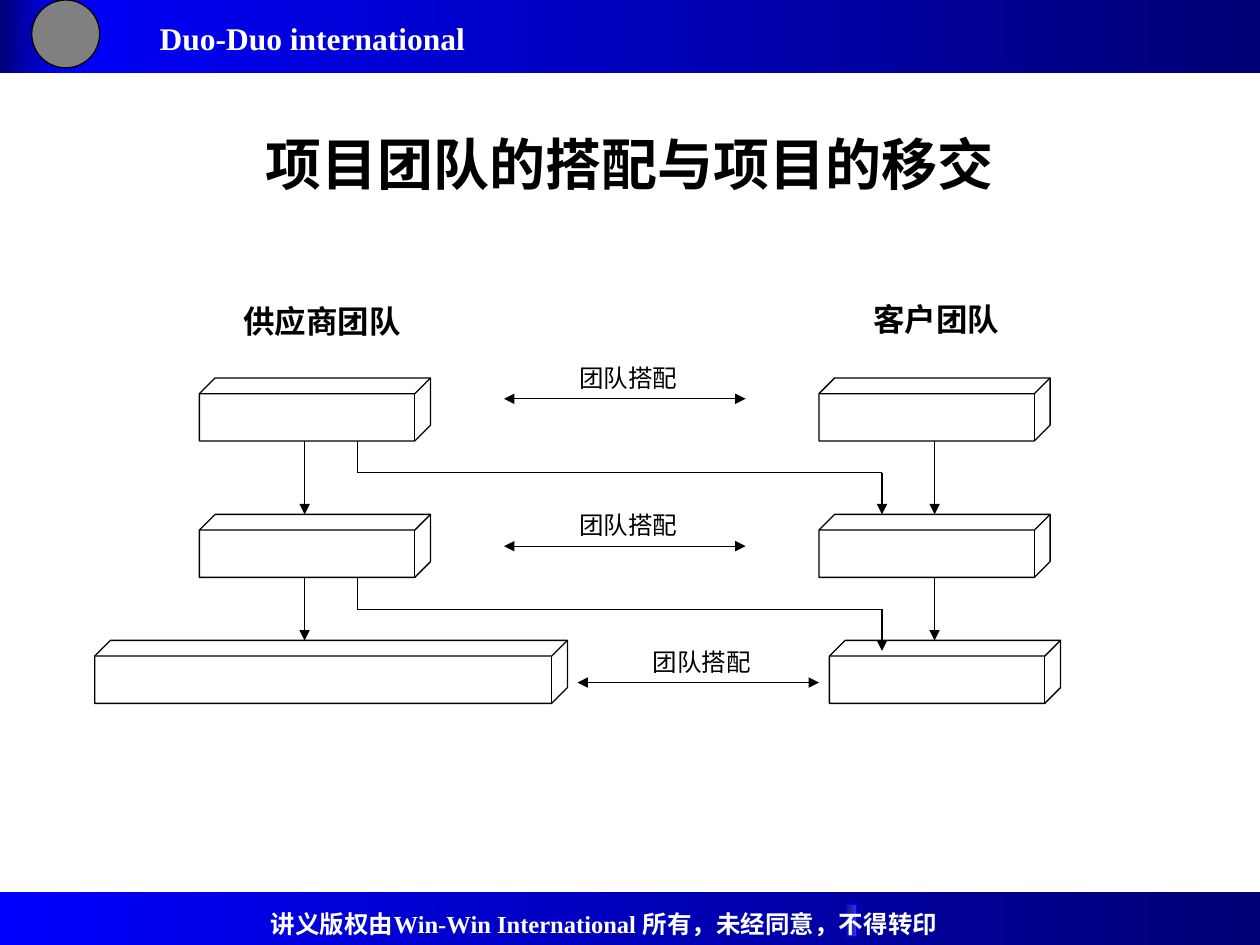
from dataclasses import dataclass

from lxml import etree
from pptx import Presentation
from pptx.dml.color import RGBColor
from pptx.enum import shapes, text
from pptx.oxml import ns
from pptx.util import Cm, Pt


@dataclass(frozen=True)
class Theme:
    font: str = "Times New Roman"
    black: RGBColor = RGBColor(0, 0, 0)
    white: RGBColor = RGBColor(255, 255, 255)
    grey: RGBColor = RGBColor(128, 128, 128)
    bright: RGBColor = RGBColor(0, 0, 255)
    navy: RGBColor = RGBColor(0, 0, 0x75)
    violet: RGBColor = RGBColor(0x33, 0x33, 255)
    dusk: RGBColor = RGBColor(0x17, 0x17, 0x75)
    title: int = 32
    heading: int = 18
    label: int = 14
    line: float = 0.75


theme = Theme()
prs = Presentation()
prs.slide_width, prs.slide_height = Cm(25.4), Cm(19.05)
slide = prs.slides.add_slide(prs.slide_layouts[6])


def add_text(words, left, top, width, height, size=theme.label, bold=False,
             color=theme.black, align=text.PP_ALIGN.LEFT,
             anchor=text.MSO_ANCHOR.TOP, wrap=True):
    frame = slide.shapes.add_textbox(Cm(left), Cm(top), Cm(width), Cm(height)).text_frame
    frame.word_wrap = wrap
    frame.vertical_anchor = anchor
    paragraph = frame.paragraphs[0]
    paragraph.alignment = align
    run = paragraph.add_run()
    run.text = words
    run.font.name = theme.font
    run.font.size = Pt(size)
    run.font.bold = bold
    run.font.color.rgb = color


def add_line(x1, y1, x2, y2, arrows=()):
    """Draw a line; arrows lists its pointed ends, headEnd (start) before tailEnd."""
    line = slide.shapes.add_connector(
        shapes.MSO_CONNECTOR.STRAIGHT, Cm(x1), Cm(y1), Cm(x2), Cm(y2))
    line.line.color.rgb = theme.black
    line.line.width = Pt(theme.line)
    for end in arrows:
        etree.SubElement(line.line._get_or_add_ln(), ns.qn(f"a:{end}"), type="triangle")
    etree.SubElement(line._element.spPr, ns.qn("a:effectLst"))


# Header and footer bands, with colours running from left to right
bands = [
    (0, 0, 25.4, 1.47, theme.bright, theme.navy, None),
    (0, 0, 1.27, 1.47, theme.navy, theme.bright, None),
    (0, 17.98, 25.4, 1.07, theme.bright, theme.navy, None),
    (17.07, 18.24, 0.2, 0.64, theme.dusk, theme.violet, theme.bright),
]
for left, top, width, height, start, finish, outline in bands:
    band = slide.shapes.add_shape(
        shapes.MSO_SHAPE.RECTANGLE, Cm(left), Cm(top), Cm(width), Cm(height))
    band.shadow.inherit = False
    band.fill.gradient()
    band.fill.gradient_angle = 0
    for stop, color in zip(band.fill.gradient_stops, (start, finish)):
        stop.color.rgb = color
    if outline is None:
        band.line.fill.background()
    else:
        band.line.color.rgb = outline
        band.line.width = Pt(theme.line)

emblem = slide.shapes.add_shape(
    shapes.MSO_SHAPE.OVAL, Cm(0.64), Cm(0), Cm(1.37), Cm(1.37))
emblem.shadow.inherit = False
emblem.fill.solid()
emblem.fill.fore_color.rgb = theme.grey
emblem.line.color.rgb = theme.black
emblem.line.width = Pt(theme.line)

add_text("Duo-Duo international", 2.97, 0.25, 6.73, 1.02, size=theme.heading,
         bold=True, color=theme.white, wrap=False)
add_text("讲义版权由Win-Win International 所有，未经同意，不得转印", 5.21, 18.21, 14.2, 0.86,
         bold=True, color=theme.white, wrap=False)
add_text("项目团队的搭配与项目的移交", 1.91, 1.7, 21.59, 3.18, size=theme.title, bold=True,
         align=text.PP_ALIGN.CENTER, anchor=text.MSO_ANCHOR.MIDDLE)
add_text("供应商团队", 4.65, 5.97, 5.08, 1.02, size=theme.heading, bold=True)
add_text("客户团队", 17.35, 5.92, 5.08, 1.02, size=theme.heading, bold=True)

# Three levels of supplier and customer teams
level_tops = [7.62, 10.37, 12.91]
block_height, block_width = 1.27, 4.66
supplier_blocks = [(4.02, block_width), (4.02, block_width), (1.91, 9.53)]
customer_blocks = [(16.51, block_width), (16.51, block_width), (16.72, block_width)]
for blocks in (supplier_blocks, customer_blocks):
    for top, (left, width) in zip(level_tops, blocks):
        block = slide.shapes.add_shape(
            shapes.MSO_SHAPE.CUBE, Cm(left), Cm(top), Cm(width), Cm(block_height))
        block.shadow.inherit = False
        block.fill.background()
        block.line.color.rgb = theme.black
        block.line.width = Pt(theme.line)

# Hand-over down each side, and across from supplier to customer
handover_start, handover_end = 7.2, 17.78
for upper, lower, handover_tip in zip(level_tops, level_tops[1:], (10.37, 13.12)):
    bottom = upper + block_height
    for middle in (6.14, 18.84):
        add_line(middle, bottom, middle, lower, ["tailEnd"])
    bend = bottom + 0.64
    add_line(handover_start, bottom, handover_start, bend)
    add_line(handover_start, bend, handover_end, bend)
    add_line(handover_end, bend, handover_end, handover_tip, ["tailEnd"])

# Pairing of the teams on each level
for left, pairing in [(10.16, 8.04), (10.16, 11.01), (11.64, 13.76)]:
    add_line(left, pairing, left + 4.87, pairing, ["headEnd", "tailEnd"])
    add_text("团队搭配", left + 1.27, pairing - 0.85, 3.81, 0.86)

prs.save("out.pptx")
